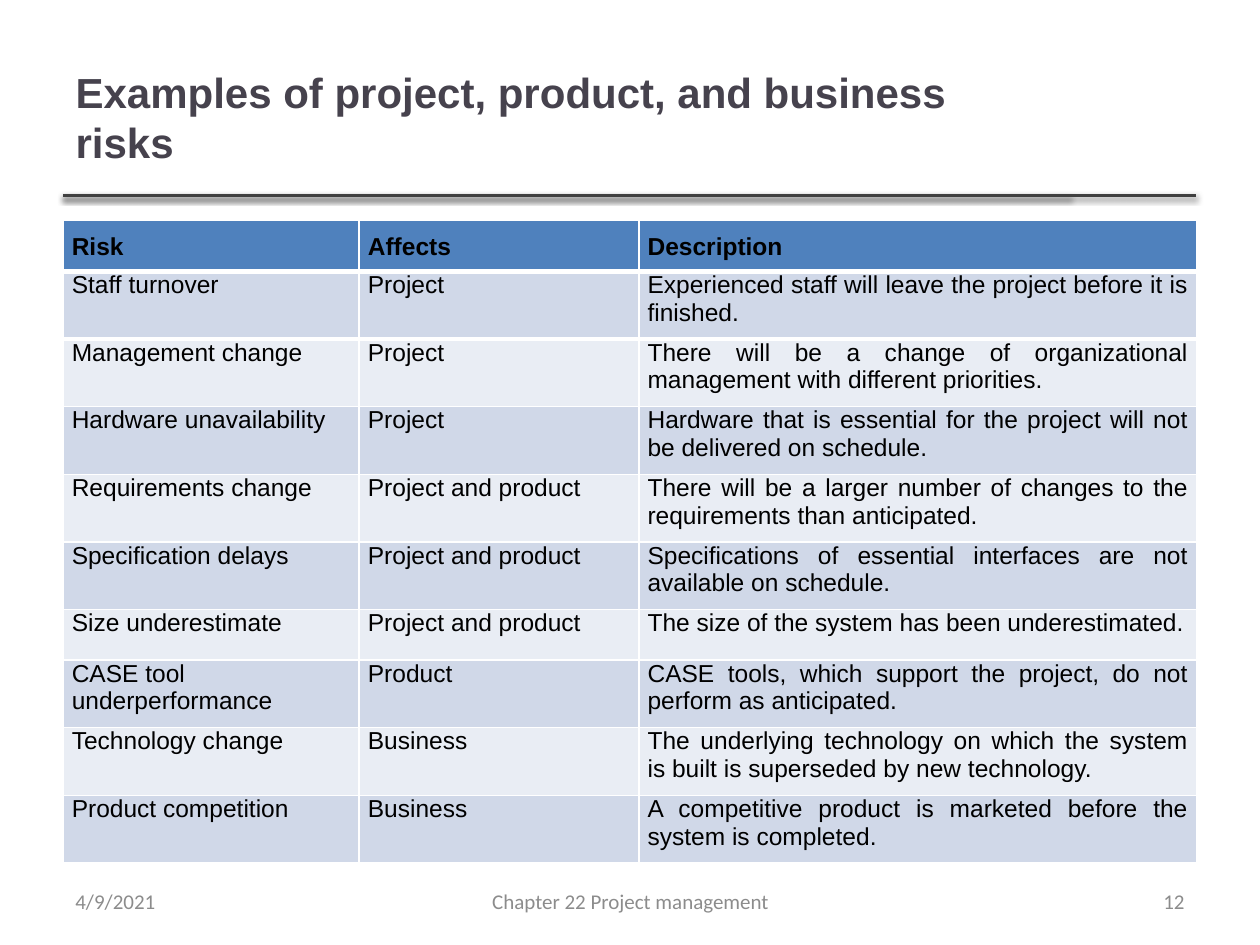
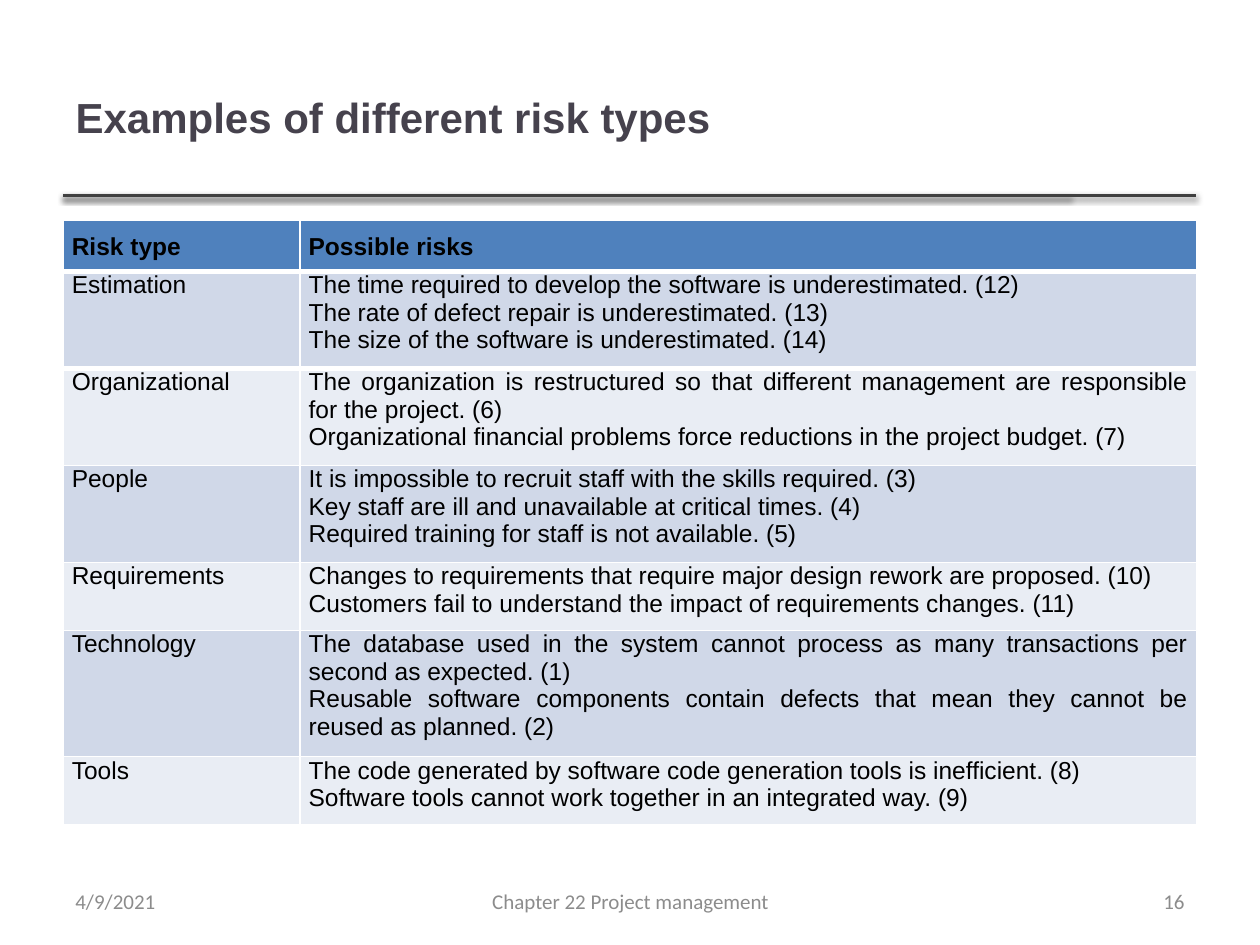
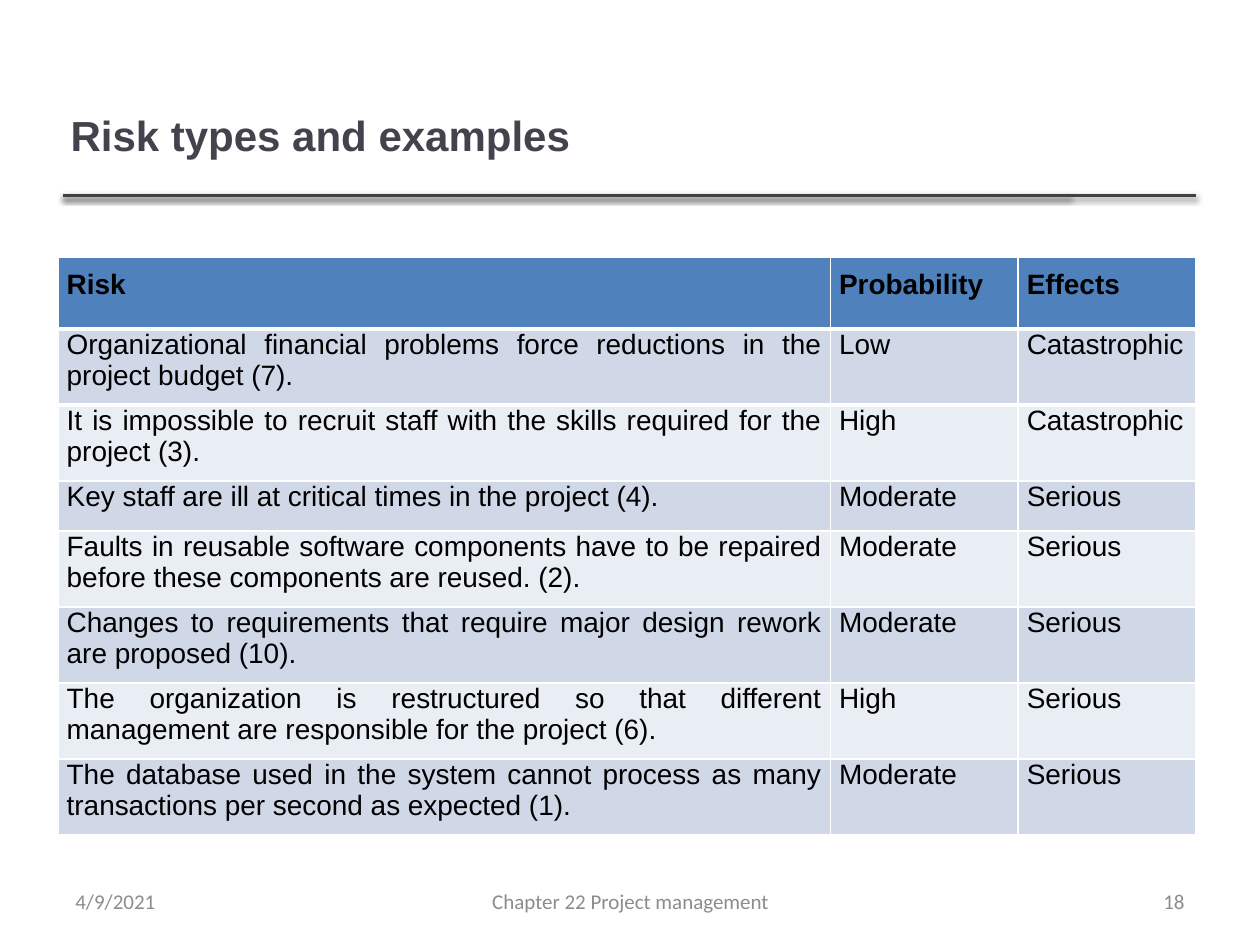
from lxml import etree
from pptx import Presentation
from pptx import util as u
from pptx.dml.color import RGBColor
from pptx.enum import shapes, text
from pptx.oxml import ns

TITLE_COLOR = RGBColor(0x46, 0x42, 0x4D)
RULE_COLOR = RGBColor(0x40, 0x40, 0x40)
FOOTER_COLOR = RGBColor(0x8C, 0x8C, 0x8C)
TEXT_COLOR = RGBColor(0, 0, 0)
BORDER_COLOR = RGBColor(0xFF, 0xFF, 0xFF)
HEADER_FILL = RGBColor(0x4F, 0x81, 0xBD)
ROW_FILLS = (RGBColor(0xD0, 0xD8, 0xE8), RGBColor(0xE9, 0xED, 0xF4))
LEFT, CENTER, RIGHT, JUSTIFY = (
    text.PP_ALIGN.LEFT, text.PP_ALIGN.CENTER,
    text.PP_ALIGN.RIGHT, text.PP_ALIGN.JUSTIFY)


def write(frame, content, size=14, font="Arial", color=TEXT_COLOR,
          bold=False, align=LEFT):
    for index, line in enumerate(content.split("\n")):
        paragraph = frame.add_paragraph() if index else frame.paragraphs[0]
        paragraph.alignment = align
        run = paragraph.add_run()
        run.text = line
        run.font.size = u.Pt(size)
        run.font.name = font
        run.font.bold = bold
        run.font.color.rgb = color


class Deck:
    def __init__(self):
        self.presentation = Presentation()
        self.presentation.slide_width = u.Inches(10)
        self.presentation.slide_height = u.Inches(7.5)
        self.slide = None

    def start(self, title, number, box=(0.5, 0.3, 7.98, 1.25)):
        layout = self.presentation.slide_layouts[5]
        self.slide = self.presentation.slides.add_slide(layout)
        for end in (8.49, 9.49):
            self.rule(0.5, end, 1.55)
        self.title(title, box)
        self.footer("4/9/2021", 0.5, 2.33, LEFT)
        self.footer("Chapter 22 Project management", 3.42, 3.17, CENTER)
        self.footer(str(number), 7.17, 2.33, RIGHT)

    def title(self, content, box):
        shape = self.slide.shapes.title
        shape.left, shape.top, shape.width, shape.height = map(u.Inches, box)
        shape.text_frame.vertical_anchor = text.MSO_ANCHOR.MIDDLE
        write(shape.text_frame, content, size=24, color=TITLE_COLOR, bold=True)

    def rule(self, start, end, top):
        connector = self.slide.shapes.add_connector(
            shapes.MSO_CONNECTOR.STRAIGHT, u.Inches(start), u.Inches(top),
            u.Inches(end), u.Inches(top))
        connector.line.color.rgb = RULE_COLOR
        connector.line.width = u.Pt(2)
        properties = connector._element.spPr
        effects = etree.SubElement(properties, ns.qn("a:effectLst"))
        shadow = etree.SubElement(
            effects, ns.qn("a:outerShdw"), blurRad="40000", dist="20000",
            dir="5400000", rotWithShape="0")
        color = etree.SubElement(shadow, ns.qn("a:srgbClr"), val="000000")
        etree.SubElement(color, ns.qn("a:alpha"), val="38000")

    def footer(self, content, left, width, align):
        shape = self.slide.shapes.add_textbox(
            u.Inches(left), u.Inches(6.95), u.Inches(width), u.Inches(0.4))
        frame = shape.text_frame
        frame.word_wrap = True
        frame.vertical_anchor = text.MSO_ANCHOR.MIDDLE
        write(frame, content, size=12, font="Calibri", color=FOOTER_COLOR,
              align=align)

    def border(self, cell, side, width):
        properties = cell._tc.get_or_add_tcPr()
        line = etree.Element(ns.qn(f"a:ln{side}"), w=str(u.Pt(width)))
        fill = etree.SubElement(line, ns.qn("a:solidFill"))
        etree.SubElement(fill, ns.qn("a:srgbClr"), val=str(BORDER_COLOR))
        properties.insert(0, line)

    def table(self, rows, left, top, widths, heights, size=14,
              left_columns=()):
        table = self.slide.shapes.add_table(
            len(rows), len(widths), u.Inches(left), u.Inches(top),
            u.Inches(sum(widths)), u.Inches(sum(heights))).table
        for column, width in zip(table.columns, widths):
            column.width = u.Inches(width)
        for row, height in zip(table.rows, heights):
            row.height = u.Inches(height)
        for row_index, row in enumerate(rows):
            header = row_index == 0
            for column_index, content in enumerate(row):
                cell = table.cell(row_index, column_index)
                cell.margin_left = cell.margin_right = u.Inches(0.07)
                cell.margin_top = u.Inches(0.1 if header else 0)
                cell.margin_bottom = u.Inches(0.07)
                cell.fill.solid()
                cell.fill.fore_color.rgb = (
                    HEADER_FILL if header else ROW_FILLS[(row_index - 1) % 2])
                if row_index < 2:
                    self.border(cell, "B" if header else "T", 3)
                ragged = not header and column_index in left_columns
                write(cell.text_frame, content, size=size, bold=header,
                      align=LEFT if ragged else JUSTIFY)


RISKS = [
    ("Risk", "Affects", "Description"),
    ("Staff turnover", "Project",
     "Experienced staff will leave the project before it is finished."),
    ("Management change", "Project",
     "There will be a change of organizational management with different "
     "priorities."),
    ("Hardware unavailability", "Project",
     "Hardware that is essential for the project will not be delivered on "
     "schedule."),
    ("Requirements change", "Project and product",
     "There will be a larger number of changes to the requirements than "
     "anticipated."),
    ("Specification delays", "Project and product",
     "Specifications of essential interfaces are not available on schedule."),
    ("Size underestimate", "Project and product",
     "The size of the system has been underestimated."),
    ("CASE tool underperformance", "Product",
     "CASE tools, which support the project, do not perform as anticipated."),
    ("Technology change", "Business",
     "The underlying technology on which the system is built is superseded "
     "by new technology."),
    ("Product competition", "Business",
     "A competitive product is marketed before the system is completed."),
]

RISK_TYPES = [
    ("Risk type", "Possible risks"),
    ("Estimation",
     "The time required to develop the software is underestimated. (12)\n"
     "The rate of defect repair is underestimated. (13)\n"
     "The size of the software is underestimated. (14)"),
    ("Organizational",
     "The organization is restructured so that different management are "
     "responsible for the project. (6)\n"
     "Organizational financial problems force reductions in the project "
     "budget. (7)"),
    ("People",
     "It is impossible to recruit staff with the skills required. (3)\n"
     "Key staff are ill and unavailable at critical times. (4)\n"
     "Required training for staff is not available. (5)"),
    ("Requirements",
     "Changes to requirements that require major design rework are "
     "proposed. (10)\n"
     "Customers fail to understand the impact of requirements changes. (11)"),
    ("Technology",
     "The database used in the system cannot process as many transactions "
     "per second as expected. (1)\n"
     "Reusable software components contain defects that mean they cannot be "
     "reused as planned. (2)"),
    ("Tools",
     "The code generated by software code generation tools is "
     "inefficient. (8)\n"
     "Software tools cannot work together in an integrated way. (9)"),
]

RISK_EFFECTS = [
    ("Risk", "Probability", "Effects"),
    ("Organizational financial problems force reductions in the project "
     "budget (7).", "Low", "Catastrophic"),
    ("It is impossible to recruit staff with the skills required for the "
     "project (3).", "High", "Catastrophic"),
    ("Key staff are ill at critical times in the project (4).",
     "Moderate", "Serious"),
    ("Faults in reusable software components have to be repaired before "
     "these components are reused. (2).", "Moderate", "Serious"),
    ("Changes to requirements that require major design rework are proposed "
     "(10).", "Moderate", "Serious"),
    ("The organization is restructured so that different management are "
     "responsible for the project (6).", "High", "Serious"),
    ("The database used in the system cannot process as many transactions "
     "per second as expected (1).", "Moderate", "Serious"),
]

deck = Deck()

deck.start("Examples of project, product, and business risks", 12)
deck.table(RISKS, 0.5, 1.75, (2.35, 2.22, 4.43), [0.4] * len(RISKS),
           left_columns=(0, 1))

deck.start("Examples of different risk types", 16)
deck.table(RISK_TYPES, 0.5, 1.75, (1.88, 7.12), [0.4] * len(RISK_TYPES))

deck.start("Risk types and examples", 18, box=(0.46, 0.49, 7.63, 1.15))
deck.table(RISK_EFFECTS, 0.46, 2.04, (6.13, 1.49, 1.41),
           [0.57] + [0.47] * 2 + [0.4] + [0.47] * 4, size=16)

deck.presentation.save("out.pptx")
